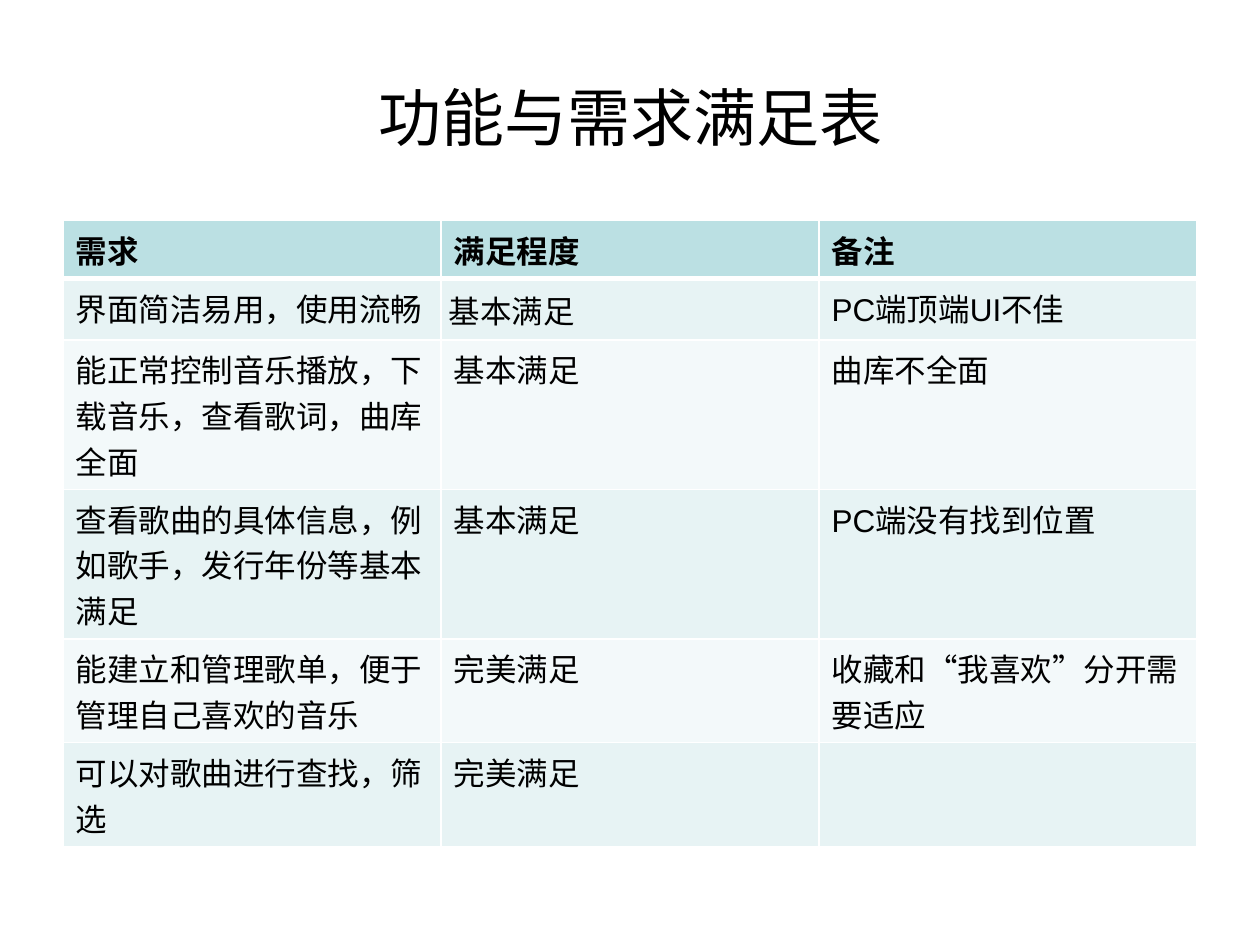
import pptx
import pptx.util
import pptx.dml.color
import pptx.enum.text
from lxml import etree

Pt = pptx.util.Pt
ANCHOR = pptx.enum.text.MSO_ANCHOR
NS = "http://schemas.openxmlformats.org/drawingml/2006/main"

# Content
TITLE = "功能与需求满足表"
ROWS = [
    ("需求", "满足程度", "备注"),
    ("界面简洁易用，使用流畅", "基本满足", "PC端顶端UI不佳"),
    ("能正常控制音乐播放，下载音乐，查看歌词，曲库全面", "基本满足", "曲库不全面"),
    ("查看歌曲的具体信息，例如歌手，发行年份等基本满足", "基本满足", "PC端没有找到位置"),
    ("能建立和管理歌单，便于管理自己喜欢的音乐", "完美满足", "收藏和“我喜欢”分开需要适应"),
    ("可以对歌曲进行查找，筛选", "完美满足", ""),
]
HEADER_FILL, BAND_FILLS = "BBE0E3", ("F3F9FA", "E7F3F4")
COL_WIDTH, ROW_HEIGHT = 216, 30


def set_color(target, color):
    target.rgb = pptx.dml.color.RGBColor.from_string(color)


def format_text(p, size, bold=False):
    p.font.size, p.font.bold, p.font.name = Pt(size), bold, "Arial"
    set_color(p.font.color, "000000")


def add_borders(cell, widths, color="FFFFFF"):
    tc_pr = cell._tc.get_or_add_tcPr()
    for side, width in widths.items():
        ln = etree.SubElement(tc_pr, f"{{{NS}}}ln{side}", w=str(Pt(width)))
        fill = etree.SubElement(ln, f"{{{NS}}}solidFill")
        etree.SubElement(fill, f"{{{NS}}}srgbClr", val=color)


prs = pptx.Presentation()
prs.slide_width, prs.slide_height = Pt(720), Pt(540)
s = prs.slides.add_slide(prs.slide_layouts[5])

# Title
title = s.shapes.title
title.left, title.top, title.width, title.height = Pt(36), Pt(21.6), Pt(648), Pt(90)
tf = title.text_frame
tf.text = TITLE
tf.vertical_anchor = ANCHOR.MIDDLE
p = tf.paragraphs[0]
p.alignment = pptx.enum.text.PP_ALIGN.CENTER
format_text(p, 36)

# Requirements table
n_cols = len(ROWS[0])
table = s.shapes.add_table(len(ROWS), n_cols, Pt(36), Pt(126),
                           Pt(n_cols * COL_WIDTH), Pt(len(ROWS) * ROW_HEIGHT)).table
for col in table.columns:
    col.width = Pt(COL_WIDTH)

for i, texts in enumerate(ROWS):
    table.rows[i].height = Pt(ROW_HEIGHT)
    widths = {"L": 1, "R": 1, "T": 3 if i == 1 else 1, "B": 3 if i == 0 else 1}
    for j, text in enumerate(texts):
        cell = table.cell(i, j)
        cell.text_frame.text = text
        format_text(cell.text_frame.paragraphs[0], 18, bold=i == 0)
        add_borders(cell, widths)
        cell.fill.solid()
        set_color(cell.fill.fore_color, BAND_FILLS[i % 2] if i else HEADER_FILL)

# The first rating has tighter margins and sits in the middle
rating = table.cell(1, 1)
rating.vertical_anchor = ANCHOR.MIDDLE
rating.margin_left = rating.margin_right = Pt(4.5)
rating.margin_top = rating.margin_bottom = Pt(4.5)

prs.save("out.pptx")
